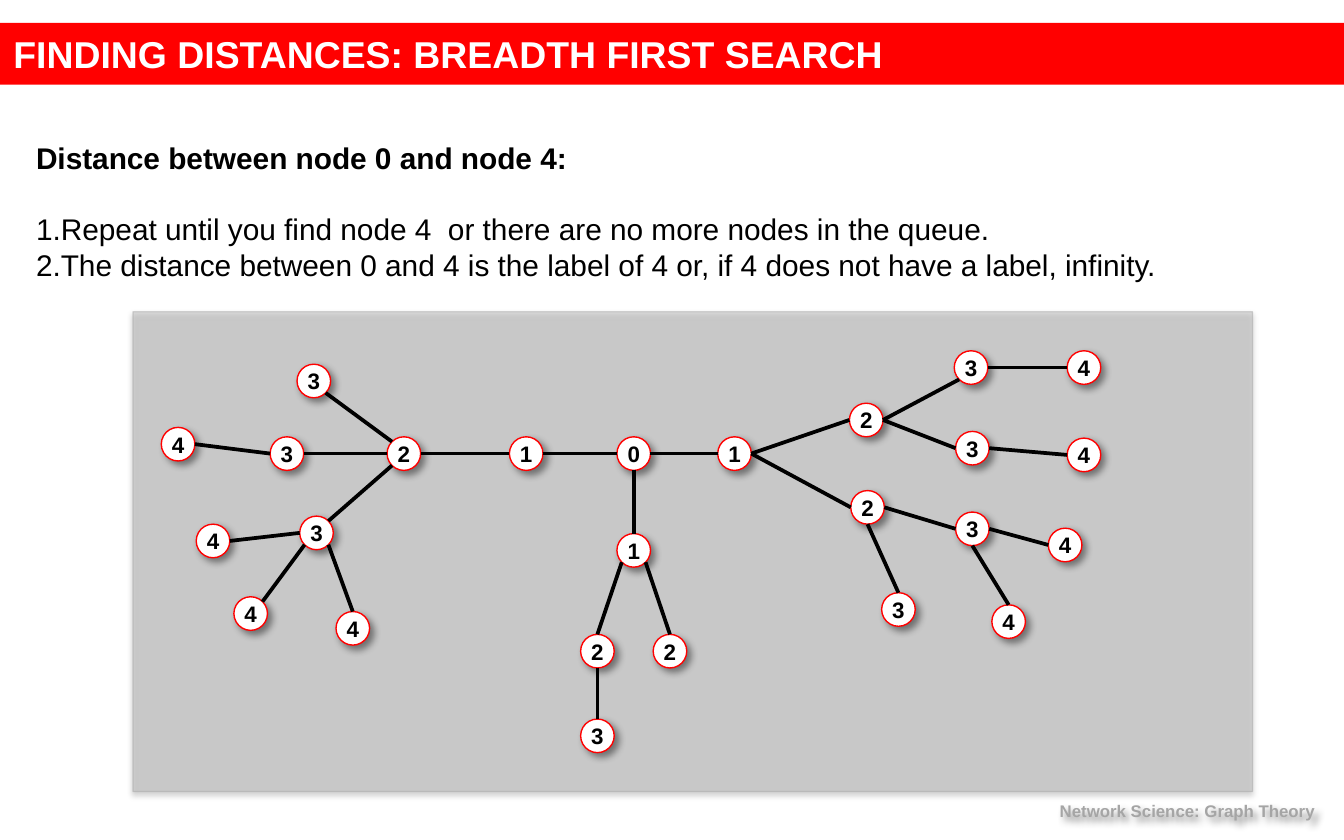
"""Builds the breadth first search slide with its labelled distance tree."""
from math import cos, radians, sin

from lxml.etree import SubElement
from pptx import Presentation
from pptx.dml.color import RGBColor
from pptx.enum.shapes import MSO_CONNECTOR as Connector, MSO_SHAPE as Shape
from pptx.enum.text import MSO_ANCHOR as Anchor, PP_ALIGN as Align
from pptx.oxml.ns import qn
from pptx.util import Emu, Pt

TITLE = "FINDING DISTANCES: BREADTH FIRST SEARCH"
HEADING = "Distance between node 0 and node 4:"
STEPS = [
    "Repeat until you find node 4  or there are no more nodes in the queue.",
    "The distance between 0 and 4 is the label of 4 or, if 4 does not have a label, infinity.",
]
FOOTER = "Network Science: Graph Theory"

# name: (left, top, parent, side of parent, side of node)
TREE = {
    "root": (459, 325, None, None, None),
    "east": (534, 325, "root", "E", "W"),
    "west": (379, 325, "root", "W", "E"),
    "south": (459, 397, "root", "S", "N"),
    "east upper": (632, 300, "east", "E", "W"),
    "east lower": (633, 365, "east", "E", "W"),
    "south right": (486, 472, "south", "SE", "N"),
    "south left": (432, 472, "south", "SW", "N"),
    "west hub": (288, 325, "west", "W", "E"),
    "upper first": (710, 261, "east upper", "E", "SW"),
    "upper second": (711, 321, "east upper", "E", "W"),
    "lower first": (711, 381, "east lower", "E", "W"),
    "lower second": (656, 441, "east lower", "S", "N"),
    "hub top": (221, 271, "west hub", "NW", "SE"),
    "hub middle": (201, 325, "west hub", "W", "E"),
    "hub bottom": (223, 384, "west hub", "SW", "NE"),
    "south end": (432, 535, "south left", "S", "N"),
    "bottom right leaf": (250, 455, "hub bottom", "SE", "N"),
    "bottom middle leaf": (174, 444, "hub bottom", "SW", "NE"),
    "bottom left leaf": (146, 390, "hub bottom", "W", "E"),
    "middle leaf": (120, 318, "hub middle", "W", "E"),
    "lower leaf": (780, 393, "lower first", "E", "W"),
    "lower end": (738, 450, "lower first", "S", "N"),
    "second leaf": (794, 326, "upper second", "E", "W"),
    "first leaf": (794, 261, "upper first", "E", "W"),
}
NODE = 25
ANGLES = {"E": 0, "SE": 45, "S": 90, "SW": 135, "W": 180, "NW": 225, "N": 270, "NE": 315}

THEME = {
    "font": "Arial", "text": "000000", "white": "FFFFFF", "red": "FF0000",
    "panel": "BFBFBF", "grey": "A5A5A5",
    "title": 20, "body": 16, "node": 12, "footer": 9,
}
PANEL_SHADOW = {"alpha": 35, "blur": 3.1, "distance": 1.8, "angle": 90}
NODE_SHADOW = {"alpha": 43, "blur": 4, "distance": 3, "angle": 45}


def px(value):
    return Emu(round(value * 9144))


def apply(target, values):
    for name, value in values.items():
        setattr(target, name, value)


def place(shape, left, top, width, height):
    apply(shape, {"left": px(left), "top": px(top), "width": px(width), "height": px(height)})


def paint(shape, fill, line=None, fill_alpha=None, line_alpha=None):
    parts = [(shape.fill, fill, fill_alpha)]
    shape.fill.solid()
    if line:
        shape.line.width = Pt(0.75)
        shape.line.fill.solid()
        parts.append((shape.line.fill, line, line_alpha))
    else:
        shape.line.fill.background()
    for part, color, _ in parts:
        part.fore_color.rgb = RGBColor.from_string(THEME[color])
    if fill_alpha:
        colors = shape._element.spPr.iter(qn("a:srgbClr"))
        for element, (_, _, alpha) in zip(colors, parts):
            SubElement(element, qn("a:alpha"), val=str(alpha * 1000))


def add_shadow(shape, alpha, blur, distance, angle):
    shape.shadow.inherit = False
    effects = shape._element.spPr.find(qn("a:effectLst"))
    outer = SubElement(effects, qn("a:outerShdw"), blurRad=str(Pt(blur)), dist=str(Pt(distance)),
                       dir=str(angle * 60000), algn="ctr", rotWithShape="0")
    color = SubElement(outer, qn("a:srgbClr"), val=THEME["text"])
    SubElement(color, qn("a:alpha"), val=str(alpha * 1000))


def write(paragraph, text, size, color="text", bold=True, **layout):
    paragraph.text = text
    apply(paragraph, layout)
    apply(paragraph.font, {"name": THEME["font"], "size": Pt(THEME[size]), "bold": bold})
    paragraph.font.color.rgb = RGBColor.from_string(THEME[color])


def add_title(slide):
    title = slide.shapes.title
    place(title, 0, 17, 1000, 46)
    paint(title, "red")
    title.text_frame.vertical_anchor = Anchor.MIDDLE
    write(title.text_frame.paragraphs[0], TITLE, "title", "white", alignment=Align.LEFT)


def add_panel(slide):
    panel = slide.shapes.add_shape(Shape.RECTANGLE, px(99), px(232), px(833), px(357))
    paint(panel, "panel", "grey", 51, 48)
    add_shadow(panel, **PANEL_SHADOW)


def add_body(slide):
    frame = slide.shapes.add_textbox(px(17), px(83), px(883), px(161)).text_frame
    frame.word_wrap = True
    write(frame.paragraphs[0], HEADING, "body", line_spacing=1.6)
    for index, step in enumerate(STEPS):
        paragraph = frame.add_paragraph()
        properties = paragraph._p.get_or_add_pPr()
        apply_indent = {"marL": "0", "indent": "0"}
        for name, value in apply_indent.items():
            properties.set(name, value)
        SubElement(properties, qn("a:buFont"), typeface="+mj-lt")
        SubElement(properties, qn("a:buAutoNum"), type="arabicPeriod")
        write(paragraph, step, "body", bold=False, line_spacing=Pt(19.2),
              space_before=Pt(0 if index else 19))


def add_footer(slide):
    footer = slide.shapes.add_textbox(px(708), px(591), px(280), px(25))
    footer.text_frame.word_wrap = True
    write(footer.text_frame.paragraphs[0], FOOTER, "footer", "grey", alignment=Align.RIGHT)
    add_shadow(footer, **NODE_SHADOW)


def add_node(slide, left, top, label):
    node = slide.shapes.add_shape(Shape.OVAL, px(left), px(top), px(NODE), px(NODE))
    paint(node, "white", "red")
    add_shadow(node, **NODE_SHADOW)
    frame = node.text_frame
    apply(frame, {"margin_left": 0, "margin_right": 0, "margin_top": 0, "margin_bottom": 0,
                  "word_wrap": False, "vertical_anchor": Anchor.MIDDLE})
    write(frame.paragraphs[0], str(label), "node", alignment=Align.CENTER)


def rim_point(name, side):
    left, top = TREE[name][:2]
    angle, radius = radians(ANGLES[side]), NODE / 2
    return px(left + radius * (1 + cos(angle))), px(top + radius * (1 + sin(angle)))


def add_edge(slide, start, end):
    edge = slide.shapes.add_connector(Connector.STRAIGHT, *start, *end)
    edge.line.width = Pt(2)
    edge.line.color.rgb = RGBColor.from_string(THEME["text"])
    SubElement(edge._element.spPr, qn("a:effectLst"))


def add_tree(slide):
    distances = {}
    for name, (left, top, parent, _, _) in TREE.items():
        distances[name] = distances[parent] + 1 if parent else 0
        add_node(slide, left, top, distances[name])
    for name, (_, _, parent, parent_side, side) in TREE.items():
        if parent:
            add_edge(slide, rim_point(parent, parent_side), rim_point(name, side))


def main():
    presentation = Presentation()
    apply(presentation, {"slide_width": px(1000), "slide_height": px(625)})
    slide = presentation.slides.add_slide(presentation.slide_layouts[5])
    for add_part in (add_title, add_panel, add_body, add_footer, add_tree):
        add_part(slide)
    presentation.save("out.pptx")


if __name__ == "__main__":
    main()
